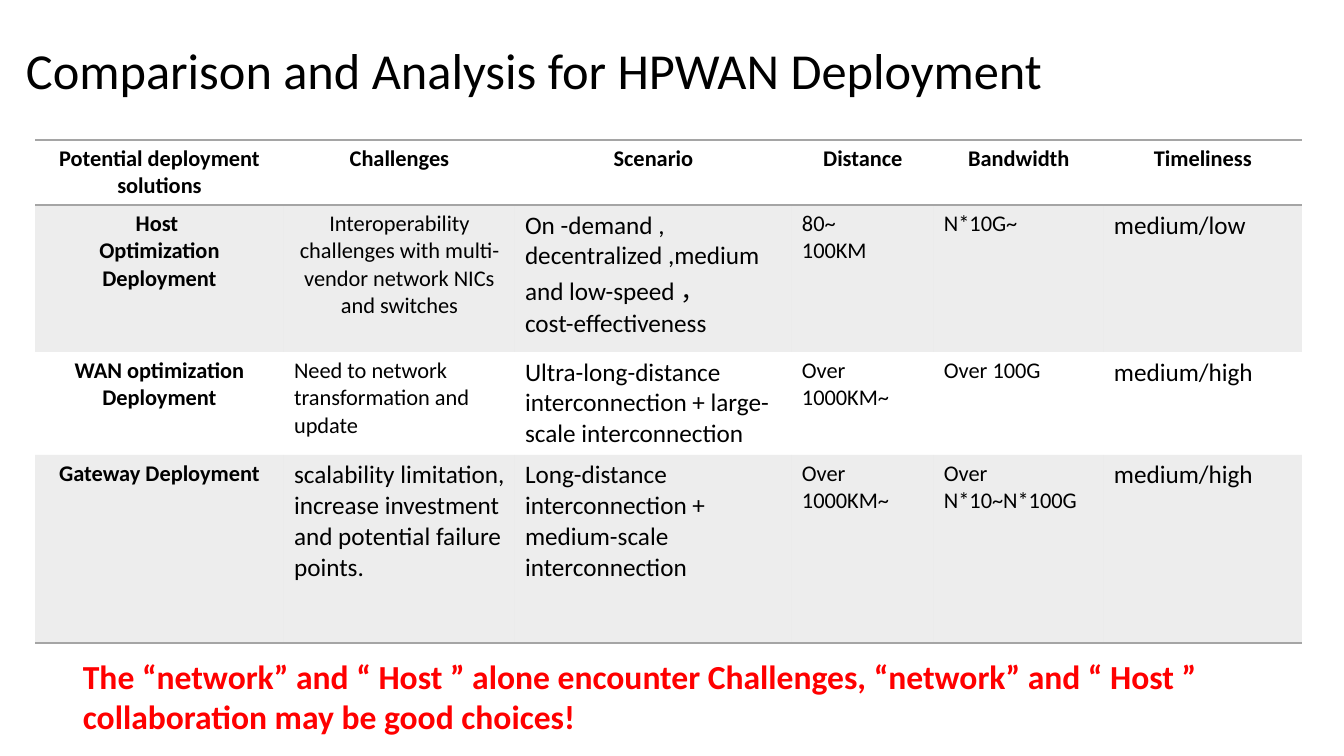
"""Build the slide that compares HPWAN deployment options in a table."""
import pptx
import pptx.dml.color
import pptx.enum.text
import pptx.oxml
import pptx.oxml.ns
import pptx.util

PX = 914400 / 100.8
INK = {"black": "000000", "red": "FF0000", "gray": "A5A5A5"}
ALIGN = {"c": pptx.enum.text.PP_ALIGN.CENTER, "l": pptx.enum.text.PP_ALIGN.LEFT}
NS = pptx.oxml.ns.nsdecls("a")


def px(*sizes):
    return [round(size * PX) for size in sizes]


def write(frame, text, size, bold=False, side="l", ink="black"):
    frame.word_wrap = True
    frame.text = text
    look = {"name": "Calibri", "size": pptx.util.Pt(size), "bold": bold}
    for para in frame.paragraphs:
        para.alignment = ALIGN[side]
        for run in para.runs:
            for key, value in look.items():
                setattr(run.font, key, value)
            run.font.color.rgb = pptx.dml.color.RGBColor.from_string(INK[ink])


deck = pptx.Presentation()
deck.slide_width, deck.slide_height = px(1344, 756)
slide = deck.slides.add_slide(deck.slide_layouts[6])

title = slide.shapes.add_textbox(*px(16, 0, 1159, 146)).text_frame
write(title, "Comparison and Analysis for HPWAN Deployment", 36)
title.vertical_anchor = pptx.enum.text.MSO_ANCHOR.MIDDLE
title.paragraphs[0].line_spacing = 0.9

heads = ["Potential deployment\nsolutions", "Challenges", "Scenario",
         "Distance", "Bandwidth", "Timeliness"]
rows = [
    [(head, 16, True, "c") for head in heads],
    [("Host \nOptimization Deployment", 16, True, "c"),
     ("Interoperability challenges with multi-vendor network NICs and switches", 16, False, "c"),
     ("On -demand , decentralized ,medium and low-speed ，\ncost-effectiveness", 18),
     ("80~\n100KM", 16), ("N*10G~", 16), ("medium/low", 18)],
    [("WAN optimization Deployment", 16, True, "c"),
     ("Need to network transformation and update", 16),
     ("Ultra-long-distance interconnection + large-scale interconnection", 18),
     ("Over 1000KM~", 16), ("Over 100G", 16), ("medium/high", 18)],
    [("Gateway Deployment", 16, True, "c"),
     ("scalability limitation, increase investment and potential failure points.", 18),
     ("Long-distance interconnection + medium-scale interconnection", 18),
     ("Over 1000KM~", 16), ("Over N*10~N*100G", 16), ("medium/high", 18)],
]
wide = [249, 231, 277, 142, 170, 198]
high = [65, 147, 103, 188]
edges = {0: ["lnB", "lnT"], 3: ["lnB"]}

table = slide.shapes.add_table(
    len(rows), len(wide), *px(35, 140, sum(wide), sum(high))).table
table.first_row = table.horz_banding = False
style = table._tbl.tblPr.find(pptx.oxml.ns.qn("a:tableStyleId"))
style.text = "{2D5ABB26-0587-4C30-8999-92F81FD0307C}"
for col, width in zip(table.columns, px(*wide)):
    col.width = width
for row, height in zip(table.rows, px(*high)):
    row.height = height

for i, row in enumerate(rows):
    for j, item in enumerate(row):
        cell = table.cell(i, j)
        write(cell.text_frame, *item)
        props = cell._tc.get_or_add_tcPr()
        for edge in edges.get(i, []):
            props.insert(0, pptx.oxml.parse_xml(
                f'<a:{edge} {NS} w="12700"><a:solidFill><a:srgbClr val="{INK["gray"]}"/>'
                f'</a:solidFill></a:{edge}>'))
        if i % 2:
            cell.fill.solid()
            cell.fill.fore_color.rgb = pptx.dml.color.RGBColor.from_string(INK["gray"])
            tint = props.find(".//" + pptx.oxml.ns.qn("a:solidFill") + "[last()]")
            tint = props.findall(pptx.oxml.ns.qn("a:solidFill"))[0][0]
            tint.append(pptx.oxml.parse_xml(f'<a:alpha {NS} val="20000"/>'))
        else:
            cell.fill.background()

note = slide.shapes.add_textbox(*px(73, 651, 1265, 92)).text_frame
write(note, "The “network” and “ Host ” alone encounter Challenges, “network” and "
      "“ Host ” collaboration may be good choices!", 24, True, ink="red")

deck.save("out.pptx")
